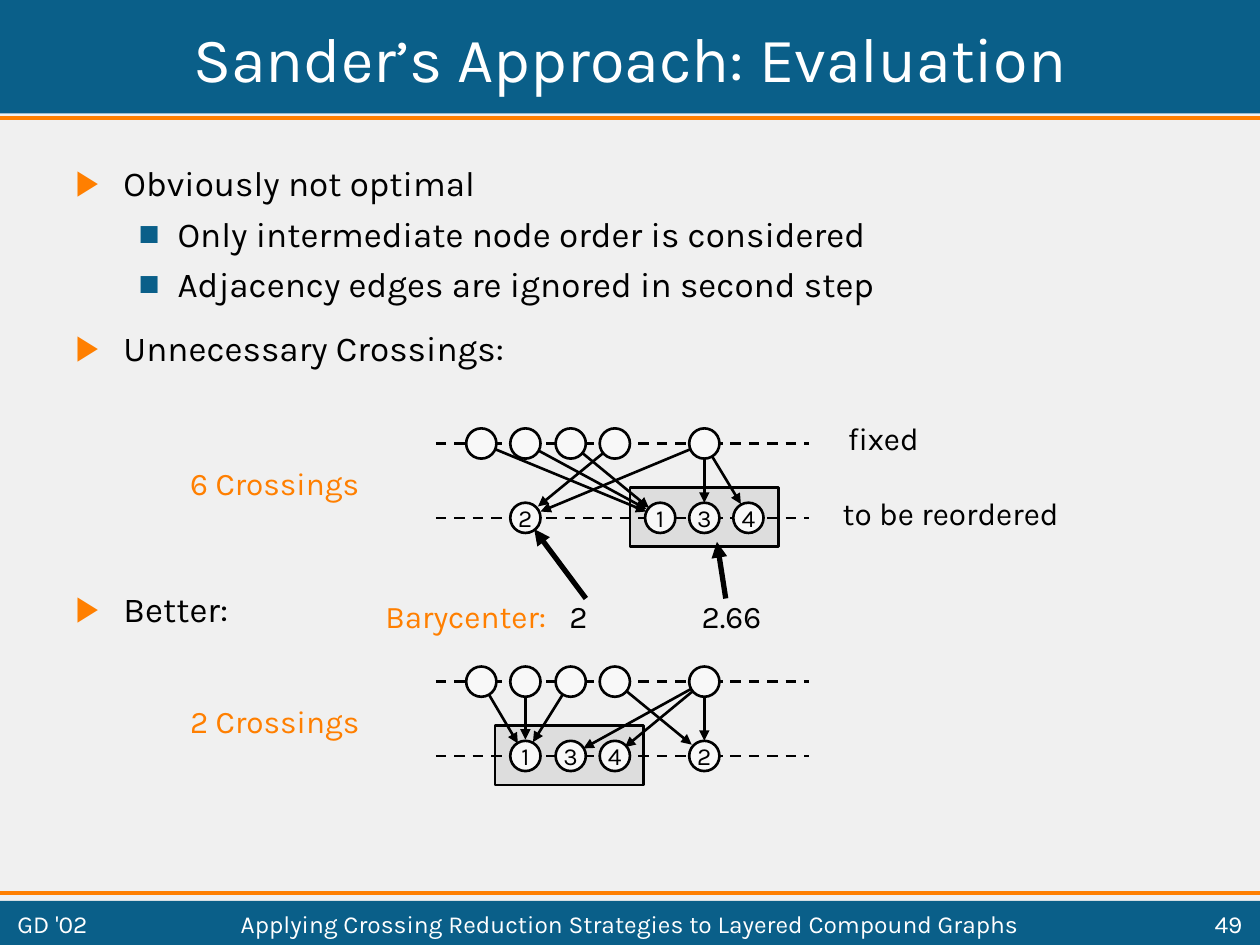
"""Build a slide that evaluates crossing reduction on layered compound graphs."""
from dataclasses import dataclass

from lxml import etree
from pptx import Presentation
from pptx.dml.color import RGBColor
from pptx.enum.dml import MSO_LINE
from pptx.enum.shapes import MSO_CONNECTOR, MSO_SHAPE
from pptx.enum.text import MSO_ANCHOR, MSO_AUTO_SIZE, PP_ALIGN
from pptx.oxml.ns import qn
from pptx.util import Pt

PX = 9144
FONT = "Karla"
BLUE = RGBColor(0x0A, 0x5F, 0x89)
ORANGE = RGBColor(0xFF, 0x7F, 0x00)
BLACK = RGBColor(0x00, 0x00, 0x00)
WHITE = RGBColor(0xFF, 0xFF, 0xFF)
PAPER = RGBColor(0xF0, 0xF0, 0xF0)
NODE_FILL = RGBColor(0xF8, 0xF8, 0xF8)
BLOCK_FILL = RGBColor(0xDD, 0xDD, 0xDD)
RECTANGLE, OVAL = MSO_SHAPE.RECTANGLE, MSO_SHAPE.OVAL
STRAIGHT, DASH = MSO_CONNECTOR.STRAIGHT, MSO_LINE.DASH
LEFT, CENTER, RIGHT = PP_ALIGN.LEFT, PP_ALIGN.CENTER, PP_ALIGN.RIGHT
TOP, MIDDLE = MSO_ANCHOR.TOP, MSO_ANCHOR.MIDDLE
NO_FIT, GROW = MSO_AUTO_SIZE.NONE, MSO_AUTO_SIZE.SHAPE_TO_FIT_TEXT

NODE_SIZE = 24
ROW_GAP = 59
BLOCK_WIDTH, BLOCK_HEIGHT = 118, 47
FIXED_COLUMNS = (0, 1, 2, 3, 5)


@dataclass(frozen=True)
class Edge:
    column: int
    end_x: int
    drop: int


@dataclass(frozen=True)
class Diagram:
    top: int
    block_column: int
    nodes: dict[int, str]
    edges: tuple[Edge, ...]


@dataclass(frozen=True)
class Label:
    text: str
    left: int
    top: int
    width: int
    color: RGBColor = BLACK


@dataclass(frozen=True)
class Footer:
    text: str
    left: int
    width: int
    align: PP_ALIGN


@dataclass(frozen=True)
class Level:
    bullet: str
    color: RGBColor
    margin: int
    hang: int


@dataclass(frozen=True)
class Item:
    text: str
    level: int
    space: float


LEVELS = (Level("▶", ORANGE, 38, 38), Level("■", BLUE, 81, 31))
ITEMS = (
    Item("Obviously not optimal", 0, 12.5),
    Item("Only intermediate node order is considered", 1, 5),
    Item("Adjacency edges are ignored in second step", 1, 5),
    Item("Unnecessary Crossings:", 0, 12.5),
    Item("Better:", 0, 125),
)
DIAGRAMS = (
    Diagram(541, 1, {5: "2", 3: "4", 1: "1", 2: "3"}, (
        Edge(0, 411, 49), Edge(3, 549, 50), Edge(2, 423, 48), Edge(1, 417, 46),
        Edge(5, 559, 47), Edge(5, 496, 52), Edge(5, 463, 53))),
    Diagram(352, 4, {1: "2", 6: "4", 4: "1", 5: "3"}, (
        Edge(0, 513, 54), Edge(3, 427, 50), Edge(2, 515, 51), Edge(1, 513, 52),
        Edge(5, 559, 47), Edge(5, 588, 48), Edge(5, 429, 54))),
)
LABELS = (
    Label("6 Crossings", 141, 363, 155, ORANGE),
    Label("2 Crossings", 141, 552, 155, ORANGE),
    Label("Barycenter:", 296, 469, 155, ORANGE),
    Label("2", 442, 469, 34),
    Label("2.66", 547, 469, 69),
    Label("fixed", 663, 328, 78),
    Label("to be reordered", 659, 387, 206),
)
POINTERS = (((465, 475), (424, 420)), ((576, 475), (569, 430)))
FOOTERS = (
    Footer("Applying Crossing Reduction Strategies to Layered Compound Graphs", 130, 740, CENTER),
    Footer("49", 878, 118, RIGHT),
    Footer("GD '02", 4, 118, LEFT),
)


def column_x(column: int) -> int:
    """Return the centre of a node column."""
    return round(382 + 35.4 * column)


def place(shape, left: int, top: int, width: int, height: int) -> None:
    """Move and size a shape."""
    shape.left, shape.top = left * PX, top * PX
    shape.width, shape.height = width * PX, height * PX


def write(para, text: str, *, size: int, color: RGBColor = BLACK, align=LEFT) -> None:
    """Put one formatted span of text in a paragraph."""
    para.alignment = align
    span = para.add_run()
    span.text = text
    span.font.name, span.font.size = FONT, Pt(size)
    span.font.color.rgb = color


def set_frame(frame, *, wrap: bool = True, anchor=TOP, fit=NO_FIT) -> None:
    """Set the wrapping, anchor and fitting of a text frame."""
    frame.word_wrap, frame.vertical_anchor, frame.auto_size = wrap, anchor, fit


def add_figure(slide, kind, left, top, width, height, fill: RGBColor, outlined=True):
    """Add a filled preset shape."""
    shape = slide.shapes.add_shape(kind, left * PX, top * PX, width * PX, height * PX)
    shape.shadow.inherit = False
    shape.fill.solid()
    shape.fill.fore_color.rgb = fill
    if outlined:
        shape.line.color.rgb = BLACK
        shape.line.width = Pt(1.5)
    else:
        shape.line.fill.background()
    return shape


def add_line(slide, start, end, *, color=BLACK, width=1.5, dashed=False, arrow=False) -> None:
    """Add a straight line, dashed or with an arrowhead on request."""
    line = slide.shapes.add_connector(STRAIGHT, *(value * PX for value in (*start, *end)))
    line.line.color.rgb = color
    line.line.width = Pt(width)
    if dashed:
        line.line.dash_style = DASH
    properties = line._element.spPr
    if arrow:
        etree.SubElement(properties.find(qn("a:ln")), qn("a:tailEnd"), type="triangle")
    etree.SubElement(properties, qn("a:effectLst"))


def add_node(slide, column: int, center_y: int, text: str = "") -> None:
    """Add a round graph node, with its number if it has one."""
    half = NODE_SIZE // 2
    node = add_figure(slide, OVAL, column_x(column) - half, center_y - half,
                      NODE_SIZE, NODE_SIZE, NODE_FILL)
    if text:
        set_frame(node.text_frame, wrap=False, anchor=MIDDLE)
        write(node.text_frame.paragraphs[0], text, size=14, align=CENTER)


def add_diagram(slide, diagram: Diagram) -> None:
    """Draw two node layers with the edges between them."""
    top, bottom = diagram.top, diagram.top + ROW_GAP
    add_figure(slide, RECTANGLE, column_x(diagram.block_column) - 24, bottom - 24,
               BLOCK_WIDTH, BLOCK_HEIGHT, BLOCK_FILL)
    add_line(slide, (346, top), (642, top), dashed=True)
    for edge in diagram.edges:
        add_line(slide, (column_x(edge.column), top), (edge.end_x, top + edge.drop), arrow=True)
    for column in FIXED_COLUMNS:
        add_node(slide, column, top)
    add_line(slide, (346, bottom), (642, bottom), dashed=True)
    for column, text in diagram.nodes.items():
        add_node(slide, column, bottom, text)


def add_text(slide, text, left, top, width, height, *, size, color=BLACK, align=LEFT, **frame):
    """Add a text box with one line of text."""
    box = slide.shapes.add_textbox(left * PX, top * PX, width * PX, height * PX)
    set_frame(box.text_frame, **frame)
    write(box.text_frame.paragraphs[0], text, size=size, color=color, align=align)


def add_item(para, item: Item) -> None:
    """Write a bulleted list item."""
    level = LEVELS[item.level]
    para.level, para.space_before = item.level, Pt(item.space)
    write(para, item.text, size=20)
    properties = para._p.get_or_add_pPr()
    properties.set("marL", str(level.margin * PX))
    properties.set("indent", str(-level.hang * PX))
    color = etree.SubElement(properties, qn("a:buClr"))
    etree.SubElement(color, qn("a:srgbClr"), val=str(level.color))
    etree.SubElement(properties, qn("a:buChar"), char=level.bullet)


def main() -> None:
    """Build and save the deck."""
    deck = Presentation()
    deck.slide_width, deck.slide_height = 1000 * PX, 750 * PX
    slide = deck.slides.add_slide(deck.slide_layouts[1])
    slide.background.fill.solid()
    slide.background.fill.fore_color.rgb = PAPER
    title, body = slide.placeholders
    for top, height in ((0, 90), (715, 35)):
        band = add_figure(slide, RECTANGLE, 0, top, 1000, height, BLUE, outlined=False)
        title._element.addprevious(band._element)
    for y in (94, 709):
        add_line(slide, (0, y), (1000, y), color=ORANGE, width=2.25)

    place(title, 4, 4, 992, 83)
    set_frame(title.text_frame, anchor=MIDDLE)
    write(title.text_frame.paragraphs[0], "Sander’s Approach: Evaluation",
          size=36, color=WHITE, align=CENTER)
    place(body, 50, 123, 900, 567)
    set_frame(body.text_frame)
    for index, item in enumerate(ITEMS):
        para = body.text_frame.add_paragraph() if index else body.text_frame.paragraphs[0]
        add_item(para, item)

    for diagram in DIAGRAMS:
        add_diagram(slide, diagram)
    for label in LABELS:
        add_text(slide, label.text, label.left, label.top, label.width, 40,
                 size=18, color=label.color, wrap=False, fit=GROW)
    for start, end in POINTERS:
        add_line(slide, start, end, width=3, arrow=True)
    for footer in FOOTERS:
        add_text(slide, footer.text, footer.left, 719, footer.width, 28,
                 size=14, color=WHITE, align=footer.align, anchor=MIDDLE)
    deck.save("out.pptx")


if __name__ == "__main__":
    main()
